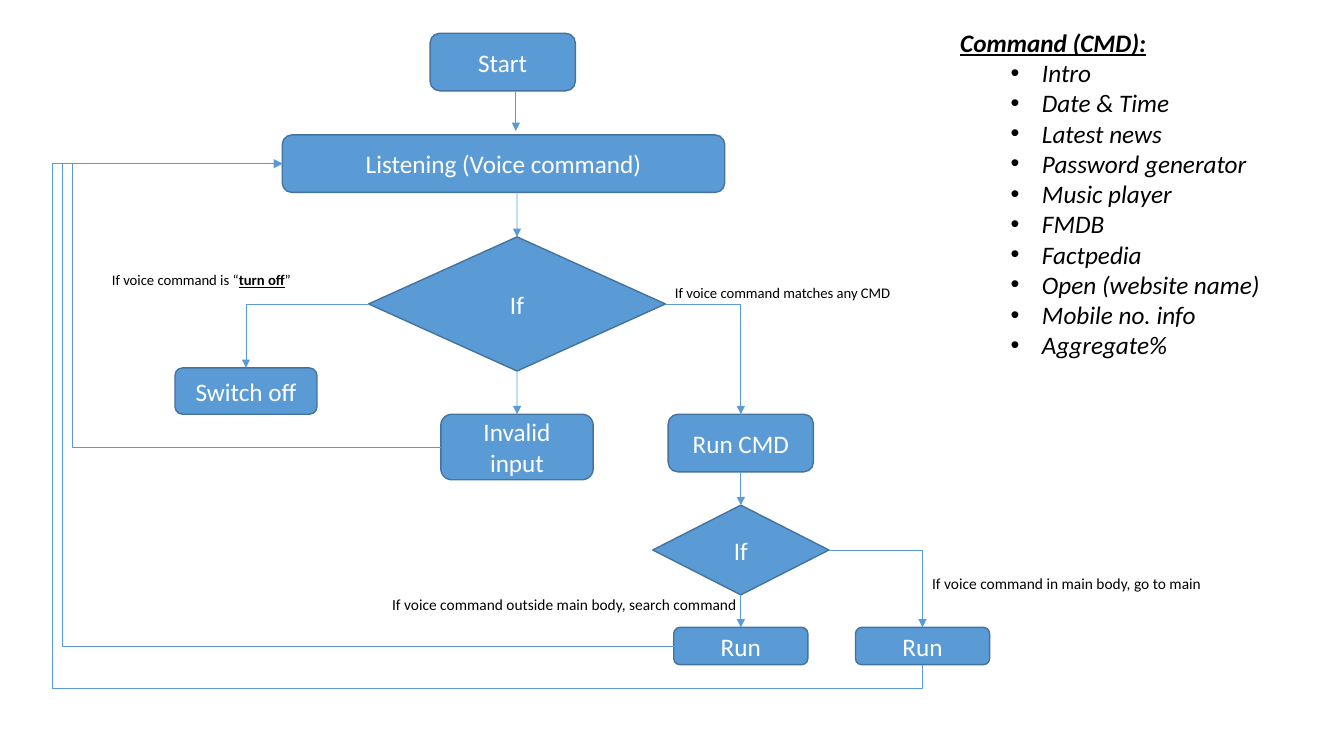
"""Builds a flowchart slide of a voice assistant with its list of commands."""
from lxml.etree import SubElement
from pptx import Presentation
from pptx.dml.color import RGBColor
from pptx.enum.shapes import MSO_CONNECTOR, MSO_SHAPE
from pptx.enum.text import MSO_ANCHOR, PP_ALIGN
from pptx.oxml.ns import qn
from pptx.util import Cm, Pt

COLORS = {"box": "5B9BD5", "border": "43739E", "arrow": "5B9BD5",
          "box_text": "FFFFFF", "text": "000000"}
TOP, LEFT, BOTTOM, RIGHT = range(4)
ROUNDED, DECISION = MSO_SHAPE.ROUNDED_RECTANGLE, MSO_SHAPE.FLOWCHART_DECISION


def add_run(paragraph, text, size, color="text", bold=False, italic=False, underline=False):
    run = paragraph.add_run()
    run.text = text
    font = run.font
    font.name, font.size = "Calibri", Pt(size)
    font.bold, font.italic, font.underline = bold, italic, underline
    font.color.rgb = RGBColor.from_string(COLORS[color])


def style_arrow(arrow, arrow_end="tailEnd"):
    arrow.line.color.rgb = RGBColor.from_string(COLORS["arrow"])
    arrow.line.width = Pt(0.5)
    SubElement(arrow.line._get_or_add_ln(), qn(f"a:{arrow_end}"), type="triangle")
    SubElement(arrow.element.spPr, qn("a:effectLst"))


prs = Presentation()
prs.slide_width, prs.slide_height = Cm(33.87), Cm(19.05)
slide = prs.slides.add_slide(prs.slide_layouts[6])
shapes = slide.shapes

# key: (text, shape, centre x, top, width, height)
steps = {
    "start": ("Start", ROUNDED, 12.67, 0.84, 3.66, 1.45),
    "listening": ("Listening (Voice command)", ROUNDED, 12.69, 3.4, 11.15, 1.45),
    "if_command": ("If", DECISION, 13.03, 5.97, 7.48, 3.38),
    "invalid": ("Invalid input", ROUNDED, 13.03, 10.44, 3.84, 1.65),
    "run_cmd": ("Run CMD", ROUNDED, 18.67, 10.44, 3.66, 1.45),
    "if_main": ("If", DECISION, 18.67, 12.73, 4.44, 2.26),
    "run_search": ("Run", ROUNDED, 18.67, 15.81, 3.38, 0.94),
    "run_main": ("Run", ROUNDED, 23.25, 15.81, 3.38, 0.94),
    "switch_off": ("Switch off", ROUNDED, 6.2, 9.27, 3.58, 1.17),
}
flow = {}
for key, (text, outline, center, top, width, height) in steps.items():
    step = shapes.add_shape(outline, Cm(center - width / 2), Cm(top), Cm(width), Cm(height))
    step.shadow.inherit = False
    step.fill.solid()
    step.fill.fore_color.rgb = RGBColor.from_string(COLORS["box"])
    step.line.color.rgb = RGBColor.from_string(COLORS["border"])
    step.line.width = Pt(1)
    step.text_frame.word_wrap = True
    step.text_frame.vertical_anchor = MSO_ANCHOR.MIDDLE
    paragraph = step.text_frame.paragraphs[0]
    paragraph.alignment = PP_ALIGN.CENTER
    add_run(paragraph, text, 18, "box_text")
    flow[key] = step

start_arrow = shapes.add_connector(MSO_CONNECTOR.STRAIGHT, Cm(13), Cm(2.29), Cm(13), Cm(3.3))
style_arrow(start_arrow)
listening_arrow = shapes.add_connector(
    MSO_CONNECTOR.STRAIGHT, Cm(13.03), Cm(4.85), Cm(13.03), Cm(5.97))
listening_arrow.end_connect(flow["if_command"], TOP)
style_arrow(listening_arrow)

for upper, lower in [("if_command", "invalid"), ("run_cmd", "if_main"), ("if_main", "run_search")]:
    down_arrow = shapes.add_connector(MSO_CONNECTOR.STRAIGHT, 0, 0, 0, 0)
    down_arrow.begin_connect(flow[upper], BOTTOM)
    down_arrow.end_connect(flow[lower], TOP)
    style_arrow(down_arrow)

lane_invalid, lane_search, lane_main, floor_main = Cm(1.83), Cm(1.58), Cm(1.33), Cm(17.35)
elbows = [
    ("if_command", RIGHT, "run_cmd", TOP, 2, None, None, "tailEnd"),
    ("if_command", LEFT, "switch_off", TOP, 2, None, None, "tailEnd"),
    ("if_main", RIGHT, "run_main", TOP, 2, None, None, "tailEnd"),
    ("invalid", LEFT, "listening", LEFT, 3, lane_invalid, None, "tailEnd"),
    ("run_search", LEFT, "listening", LEFT, 3, lane_search, None, "tailEnd"),
    ("listening", LEFT, "run_main", BOTTOM, 4, lane_main, floor_main, "headEnd"),
]
for source, source_side, target, target_side, segments, lane, floor, arrow_end in elbows:
    elbow = shapes.add_connector(MSO_CONNECTOR.ELBOW, 0, 0, 0, 0)
    elbow.begin_connect(flow[source], source_side)
    elbow.end_connect(flow[target], target_side)
    style_arrow(elbow, arrow_end)
    geometry = elbow.element.spPr.find(qn("a:prstGeom"))
    geometry.set("prst", f"bentConnector{segments}")
    bends = []
    if lane is not None:
        bends.append((lane - elbow.begin_x) / (elbow.end_x - elbow.begin_x))
    if floor is not None:
        bends.append((floor - elbow.begin_y) / (elbow.end_y - elbow.begin_y))
    for number, bend in enumerate(bends, 1):
        SubElement(geometry.find(qn("a:avLst")), qn("a:gd"),
                   name=f"adj{number}", fmla=f"val {round(bend * 100000)}")

conditions = [
    (16.76, 7.04, 6.17, 10.5, [("If voice command matches any CMD", False)]),
    (2.57, 6.71, 6.17, 10.5,
     [("If voice command is “", False), ("turn off", True), ("”", False)]),
    (23.24, 14.35, 7.47, 11, [("If voice command in main body, go to main", False)]),
    (9.63, 14.88, 9.27, 11, [("If voice command outside main body, search command", False)]),
]
for left, top, width, size, parts in conditions:
    condition = shapes.add_textbox(Cm(left), Cm(top), Cm(width), Cm(0.72))
    condition.text_frame.word_wrap = True
    for text, strong in parts:
        add_run(condition.text_frame.paragraphs[0], text, size, bold=strong, underline=strong)

commands = ["Intro", "Date & Time", "Latest news", "Password generator", "Music player",
            "FMDB", "Factpedia", "Open (website name)", "Mobile no. info", "Aggregate%"]
command_list = shapes.add_textbox(Cm(23.95), Cm(0.56), Cm(9.68), Cm(8.71)).text_frame
command_list.word_wrap = True
add_run(command_list.paragraphs[0], "Command (CMD):", 18, bold=True, italic=True, underline=True)
for command in commands:
    paragraph = command_list.add_paragraph()
    paragraph.level = 1
    add_run(paragraph, command, 18, italic=True)
    properties = paragraph._p.get_or_add_pPr()
    properties.set("marL", str(Cm(2.06)))
    properties.set("indent", str(-Cm(0.79)))
    SubElement(properties, qn("a:buFont"), typeface="Arial")
    SubElement(properties, qn("a:buChar"), char="•")

prs.save("out.pptx")
